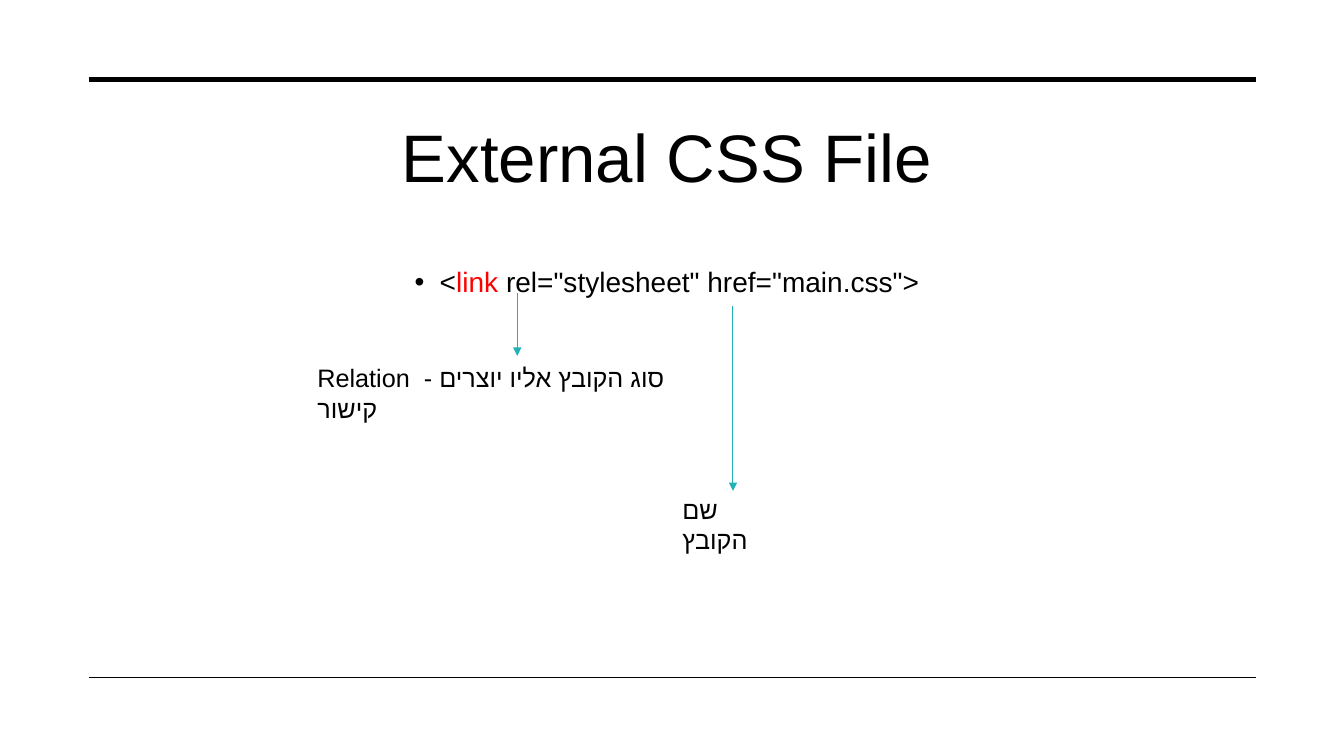
from dataclasses import dataclass

from lxml.etree import SubElement
from pptx import Presentation
from pptx.dml.color import RGBColor
from pptx.enum.shapes import MSO_CONNECTOR
from pptx.enum.text import MSO_ANCHOR, MSO_AUTO_SIZE as AutoSize, PP_ALIGN as Align
from pptx.oxml.ns import qn
from pptx.util import Inches, Pt


@dataclass(frozen=True)
class Theme:
    font: str = "Arial"
    ink: str = "000000"
    keyword: str = "FF0000"
    arrow: str = "20B2B5"
    paper: str = "FFFFFF"
    title_size: float = 48
    code_size: float = 20
    note_size: float = 18


class SlideBuilder:
    """Draw styled elements on the current slide."""

    def __init__(self, slide, theme):
        self.slide, self.theme = slide, theme
        background = slide.background.fill
        background.solid()
        background.fore_color.rgb = RGBColor.from_string(theme.paper)

    def apply(self, target, formats):
        for name, value in formats.items():
            setattr(target, name, value)

    def fill_text(self, shape, runs, size, auto_size=AutoSize.NONE, **formats):
        frame = shape.text_frame
        self.apply(frame, {"word_wrap": True, "auto_size": auto_size,
                           "vertical_anchor": MSO_ANCHOR.TOP})
        paragraph = frame.paragraphs[0]
        self.apply(paragraph, formats)
        for text, color in runs:
            run = paragraph.add_run()
            run.text = text
            self.apply(run.font, {"name": self.theme.font, "size": Pt(size), "bold": False})
            run.font.color.rgb = RGBColor.from_string(color)
            SubElement(run.font._element, qn("a:cs"), typeface=self.theme.font)
        return paragraph

    def title(self, text, box):
        shape = self.slide.shapes.title
        self.apply(shape, dict(zip(("left", "top", "width", "height"), map(Inches, box))))
        self.fill_text(shape, [(text, self.theme.ink)], self.theme.title_size,
                       alignment=Align.CENTER, line_spacing=1.1)

    def text_box(self, box):
        return self.slide.shapes.add_textbox(*map(Inches, box))

    def bullet(self, runs, box):
        paragraph = self.fill_text(self.text_box(box), runs, self.theme.code_size,
                                   alignment=Align.CENTER, line_spacing=1.2)
        properties = paragraph._p.get_or_add_pPr()
        properties.set("marL", str(Inches(0.25)))
        properties.set("indent", str(Inches(-0.25)))
        bullet_color = SubElement(properties, qn("a:buClr"))
        SubElement(bullet_color, qn("a:srgbClr"), val=self.theme.ink)
        SubElement(properties, qn("a:buFont"), typeface=self.theme.font)
        SubElement(properties, qn("a:buChar"), char="•")

    def note(self, text, box):
        self.fill_text(self.text_box(box), [(text, self.theme.ink)], self.theme.note_size,
                       AutoSize.SHAPE_TO_FIT_TEXT, alignment=Align.LEFT)

    def line(self, start, end, color, width):
        connector = self.slide.shapes.add_connector(
            MSO_CONNECTOR.STRAIGHT, *map(Inches, (*start, *end)))
        connector.line.width = Pt(width)
        connector.line.color.rgb = RGBColor.from_string(color)
        SubElement(connector._element.spPr, qn("a:effectLst"))
        return connector

    def rule(self, y, width):
        self.line((0.88, y), (12.46, y), self.theme.ink, width)

    def arrow(self, x, top, bottom):
        connector = self.line((x, top), (x, bottom), self.theme.arrow, 0.75)
        SubElement(connector.line._get_or_add_ln(), qn("a:tailEnd"), type="triangle")


def main():
    presentation = Presentation()
    presentation.slide_width, presentation.slide_height = Inches(13.33), Inches(7.5)
    theme = Theme()
    builder = SlideBuilder(presentation.slides.add_slide(presentation.slide_layouts[5]), theme)

    builder.rule(0.79, 3.5)
    builder.rule(6.72, 1)
    builder.title("External CSS File", (0.77, 1.01, 11.69, 1.5))
    builder.bullet([("<", theme.ink), ("link", theme.keyword),
                    (' rel="stylesheet" href="main.css">', theme.ink)],
                   (0.77, 2.51, 11.69, 3.98))

    builder.arrow(5.13, 2.91, 3.53)
    builder.note("Relation  - סוג הקובץ אליו יוצרים קישור", (3.05, 3.55, 4.16, 0.4))
    builder.arrow(7.27, 3.04, 4.87)
    builder.note("שם הקובץ", (6.67, 4.85, 1.2, 0.4))

    presentation.save("out.pptx")


if __name__ == "__main__":
    main()
